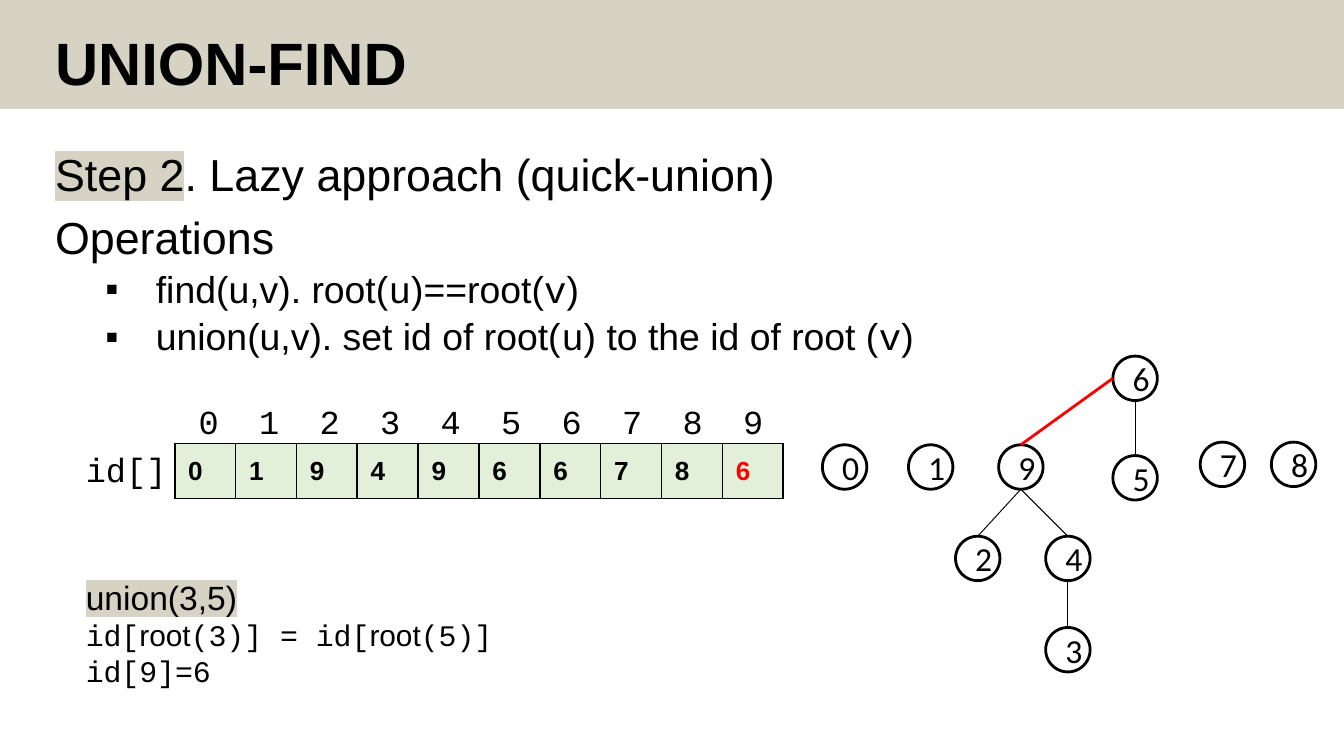
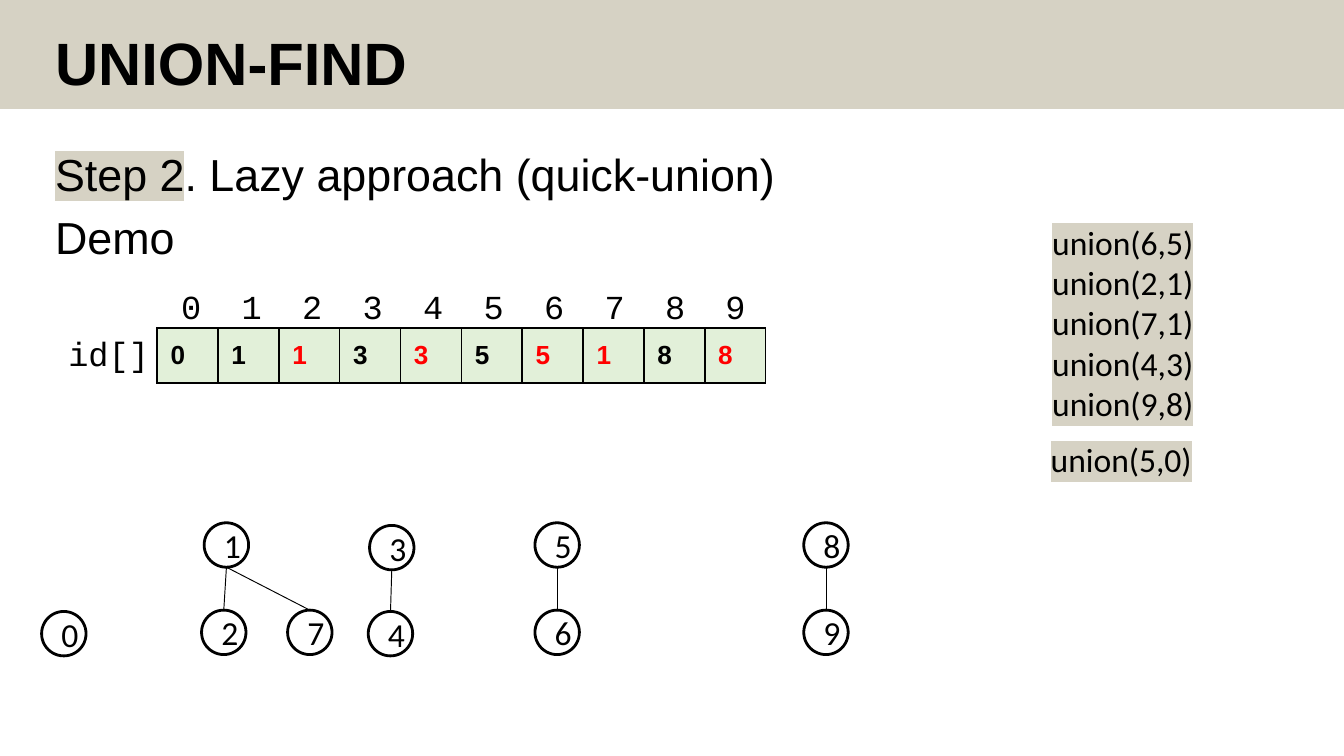
from dataclasses import dataclass

import pptx
import pptx.dml.color
import pptx.enum.shapes
import pptx.enum.text
import pptx.oxml.xmlchemy
import pptx.presentation
import pptx.slide
import pptx.text.text
import pptx.util

Pt = pptx.util.Pt
RGB = pptx.dml.color.RGBColor
ALIGN = pptx.enum.text.PP_ALIGN
ANCHOR = pptx.enum.text.MSO_ANCHOR
AUTO_SIZE = pptx.enum.text.MSO_AUTO_SIZE
SHAPE = pptx.enum.shapes.MSO_SHAPE


@dataclass(frozen=True)
class Theme:
    ink: RGB = RGB.from_string("000000")
    band: RGB = RGB.from_string("D6D2C4")
    cell: RGB = RGB.from_string("E2F0D9")
    changed: RGB = RGB.from_string("FF0000")
    sans: str = "Arial"
    code: str = "Courier New"
    label: str = "Calibri"
    title: float = 32
    lead: float = 24
    item: float = 20
    note: float = 18
    listing: float = 16
    entry: float = 14


THEME = Theme()
NODE_SIZE = 23.8
CELL_WIDTH, CELL_HEIGHT = 32.6, 29.5
INDEX_STEP = 32.4


@dataclass(frozen=True)
class Span:
    text: str
    font: str | None = None
    marked: bool = False


@dataclass(frozen=True)
class Line:
    spans: tuple[Span, ...]
    size: float
    font: str = THEME.sans


@dataclass(frozen=True)
class Box:
    left: float
    top: float
    width: float
    height: float

    def lengths(self) -> tuple[pptx.util.Length, ...]:
        return Pt(self.left), Pt(self.top), Pt(self.width), Pt(self.height)


@dataclass(frozen=True)
class Node:
    label: str
    left: float
    top: float

    @property
    def centre(self) -> float:
        return self.left + NODE_SIZE / 2


TITLE_BOX = Box(22.3, 12.2, 620.6, 46)
BODY_BOX = Box(22.3, 78.5, 658, 295)
BAND_BOX = Box(0, 0, 720, 58.3)


def add_xml(parent: pptx.oxml.xmlchemy.BaseOxmlElement, tag: str,
            **attributes: str) -> pptx.oxml.xmlchemy.BaseOxmlElement:
    child = pptx.oxml.xmlchemy.OxmlElement(tag)
    for key, value in attributes.items():
        child.set(key, value)
    parent.append(child)
    return child


def set_font(font: pptx.text.text.Font, name: str, size: float,
             color: RGB = THEME.ink, bold: bool = False) -> None:
    font.name, font.size, font.bold = name, Pt(size), bold
    font.color.rgb = color


def write_line(paragraph: pptx.text.text._Paragraph, line: Line) -> None:
    set_font(paragraph.font, line.font, line.size)
    for span in line.spans:
        run = paragraph.add_run()
        run.text = span.text
        if span.marked:
            highlight = add_xml(run._r.get_or_add_rPr(), "a:highlight")
            add_xml(highlight, "a:srgbClr", val=str(THEME.band))
        if span.font:
            run.font.name = span.font


def paragraphs_for(frame: pptx.text.text.TextFrame, lines: list[Line]):
    """Yield one paragraph of the frame for each line."""
    for number, line in enumerate(lines):
        yield (frame.add_paragraph() if number else frame.paragraphs[0]), line


def add_text(slide: pptx.slide.Slide, box: Box, lines: list[Line]) -> None:
    frame = slide.shapes.add_textbox(*box.lengths()).text_frame
    frame.word_wrap = False
    frame.auto_size = AUTO_SIZE.SHAPE_TO_FIT_TEXT
    for paragraph, line in paragraphs_for(frame, lines):
        write_line(paragraph, line)


def fill_body(frame: pptx.text.text.TextFrame, lines: list[Line]) -> None:
    """Write lead lines flush left and item-sized lines as bullets."""
    for number, (paragraph, line) in enumerate(paragraphs_for(frame, lines)):
        bulleted = line.size == THEME.item
        paragraph.level = int(bulleted)
        paragraph.line_spacing = 0.9
        space = 3.8 if bulleted else 7.5
        paragraph.space_before = Pt(space if number else 0)
        properties = paragraph._p.get_or_add_pPr()
        properties.set("marL", str(Pt(54 if bulleted else 0)))
        properties.set("indent", str(Pt(-27 if bulleted else 0)))
        if bulleted:
            add_xml(properties, "a:buFont", typeface=THEME.sans)
            add_xml(properties, "a:buChar", char="▪")
        else:
            add_xml(properties, "a:buNone")
        write_line(paragraph, line)


def add_indices(slide: pptx.slide.Slide, box: Box, count: int) -> None:
    frame = slide.shapes.add_textbox(*box.lengths()).text_frame
    frame.word_wrap = True
    indices = frame.paragraphs[0]
    stops = add_xml(indices._p.get_or_add_pPr(), "a:tabLst")
    for number in range(1, count):
        add_xml(stops, "a:tab", pos=str(Pt(INDEX_STEP * number)), algn="l")
    text = "\t".join(str(number) for number in range(count))
    write_line(indices, Line((Span(text),), THEME.note, THEME.code))


def add_id_array(slide: pptx.slide.Slide, left: float, top: float,
                 values: str, changed: set[int]) -> None:
    """Draw the id[] table with its indices; changed positions are red."""
    count = len(values)
    add_text(slide, Box(left - 54.7, top - 0.7, 58.3, 28.8),
             [Line((Span("id[]"),), THEME.note, THEME.code)])
    add_indices(slide, Box(left + 5.8, top - 26.3, 340, 28.8), count)
    box = Box(left, top, CELL_WIDTH * count, CELL_HEIGHT)
    table = slide.shapes.add_table(1, count, *box.lengths()).table
    table.first_row = table.horz_banding = False
    for position, value in enumerate(values):
        table.columns[position].width = Pt(CELL_WIDTH)
        cell = table.cell(0, position)
        cell.text = value
        cell.vertical_anchor = ANCHOR.MIDDLE
        color = THEME.changed if position in changed else THEME.ink
        set_font(cell.text_frame.paragraphs[0].font, THEME.sans, THEME.entry,
                 color, bold=True)
        properties = cell._tc.get_or_add_tcPr()
        for side in ("a:lnL", "a:lnR", "a:lnT", "a:lnB"):
            border = add_xml(properties, side, w=str(Pt(1)))
            add_xml(add_xml(border, "a:solidFill"), "a:srgbClr", val=str(THEME.ink))
        cell.fill.solid()
        cell.fill.fore_color.rgb = THEME.cell


def add_node(slide: pptx.slide.Slide, node: Node) -> None:
    box = Box(node.left, node.top, NODE_SIZE, NODE_SIZE)
    circle = slide.shapes.add_shape(SHAPE.OVAL, *box.lengths())
    circle.shadow.inherit = False
    circle.fill.background()
    circle.line.color.rgb = THEME.ink
    circle.line.width = Pt(1.5)
    circle.text_frame.vertical_anchor = ANCHOR.MIDDLE
    label = circle.text_frame.paragraphs[0]
    label.alignment = ALIGN.CENTER
    write_line(label, Line((Span(node.label),), THEME.note, THEME.label))


def add_edge(slide: pptx.slide.Slide, start: tuple[float, float],
             end: tuple[float, float], color: RGB = THEME.ink,
             width: float = 0.5) -> None:
    edge = slide.shapes.add_connector(
        pptx.enum.shapes.MSO_CONNECTOR.STRAIGHT, *map(Pt, start + end))
    edge.line.color.rgb = color
    edge.line.width = Pt(width)
    add_xml(edge._element.spPr, "a:effectLst")


def add_forest(slide: pptx.slide.Slide, nodes: list[Node], edges: list[str]) -> None:
    """Draw the nodes, and an edge for each pair of parent and child labels."""
    by_label = {node.label: node for node in nodes}
    for node in nodes:
        add_node(slide, node)
    for parent, child in edges:
        above, below = by_label[parent], by_label[child]
        add_edge(slide, (above.centre, above.top + NODE_SIZE), (below.centre, below.top))


def prepare_layout(deck: pptx.presentation.Presentation) -> pptx.slide.SlideLayout:
    """Place the title and body on the layout that both slides inherit."""
    layout = deck.slide_layouts[1]
    for placeholder, box in zip(layout.placeholders, (TITLE_BOX, BODY_BOX)):
        (placeholder.left, placeholder.top,
         placeholder.width, placeholder.height) = box.lengths()
        placeholder.text_frame.auto_size = AUTO_SIZE.NONE
    layout.placeholders[0].text_frame.vertical_anchor = ANCHOR.MIDDLE
    return layout


def add_lecture_slide(deck: pptx.presentation.Presentation,
                      layout: pptx.slide.SlideLayout,
                      lines: list[Line]) -> pptx.slide.Slide:
    slide = deck.slides.add_slide(layout)
    band = slide.shapes.add_shape(SHAPE.RECTANGLE, *BAND_BOX.lengths())
    band.shadow.inherit = False
    band.fill.solid()
    band.fill.fore_color.rgb = THEME.band
    band.line.fill.background()
    slide.shapes._spTree.insert(2, band._element)
    title = slide.shapes.title.text_frame.paragraphs[0]
    title.alignment = ALIGN.LEFT
    title.line_spacing = 0.9
    title.text = "UNION-FIND"
    set_font(title.font, THEME.sans, THEME.title, bold=True)
    step = Line((Span("Step 2", marked=True), Span(". Lazy approach (quick-union)")),
                THEME.lead)
    fill_body(slide.placeholders[1].text_frame, [step, *lines])
    return slide


def add_operations(deck: pptx.presentation.Presentation,
                   layout: pptx.slide.SlideLayout) -> None:
    u, v, close = Span("u", THEME.code), Span("v", THEME.code), Span(")")
    slide = add_lecture_slide(deck, layout, [
        Line((Span("Operations"),), THEME.lead),
        Line((Span("find(u,v). root("), u, Span(")==root("), v, close), THEME.item),
        Line((Span("union(u,v). set id of root("), u,
              Span(") to the id of root ("), v, close), THEME.item),
    ])
    add_id_array(slide, 93.6, 237.6, "0194966786", {9})
    root = Span("root", THEME.sans)
    add_text(slide, Box(38.9, 305.3, 235.4, 67.7), [
        Line((Span("union(3,5)", marked=True),), THEME.note),
        Line((Span("id["), root, Span("(3)] = id["), root, Span("(5)]")),
             THEME.listing, THEME.code),
        Line((Span("id[9]=6"),), THEME.listing, THEME.code),
    ])
    six, nine = Node("6", 596.2, 190.8), Node("9", 535, 238.3)
    add_forest(slide, [
        Node("0", 440.6, 238.3), Node("1", 486.7, 238.3), nine,
        Node("2", 511.9, 287.3), Node("4", 560.2, 287.3), Node("3", 560.2, 336.2),
        six, Node("5", 596.2, 244.1), Node("7", 643, 236.9), Node("8", 681.1, 236.9),
    ], ["94", "92", "43", "65"])
    add_edge(slide, (nine.centre, nine.top), (six.left, six.top + NODE_SIZE / 2),
             THEME.changed, 1.5)


def add_demo(deck: pptx.presentation.Presentation,
             layout: pptx.slide.SlideLayout) -> None:
    slide = add_lecture_slide(deck, layout, [Line((Span("Demo"),), THEME.lead)])
    add_id_array(slide, 84.2, 175.7, "0113355188", {2, 4, 6, 7, 9})
    add_forest(slide, [
        Node("0", 22.3, 327.6), Node("1", 109.4, 280.1), Node("2", 108, 326.9),
        Node("7", 154.1, 326.9), Node("3", 198, 281.5), Node("4", 197.3, 327.6),
        Node("5", 286.6, 280.1), Node("6", 286.6, 326.9),
        Node("8", 430.6, 280.1), Node("9", 430.6, 326.9),
    ], ["12", "17", "34", "56", "89"])
    done = ["union(6,5)", "union(2,1)", "union(7,1)", "union(4,3)", "union(9,8)"]
    for box, calls in ((Box(556.6, 115.2, 92.9, 116.6), done),
                       (Box(555.8, 231.8, 91.4, 28.8), ["union(5,0)"])):
        add_text(slide, box, [Line((Span(call, marked=True),), THEME.note, THEME.label)
                              for call in calls])


def main() -> None:
    deck = pptx.Presentation()
    deck.slide_width, deck.slide_height = Pt(720), Pt(405)
    layout = prepare_layout(deck)
    add_operations(deck, layout)
    add_demo(deck, layout)
    deck.save("out.pptx")


if __name__ == "__main__":
    main()
